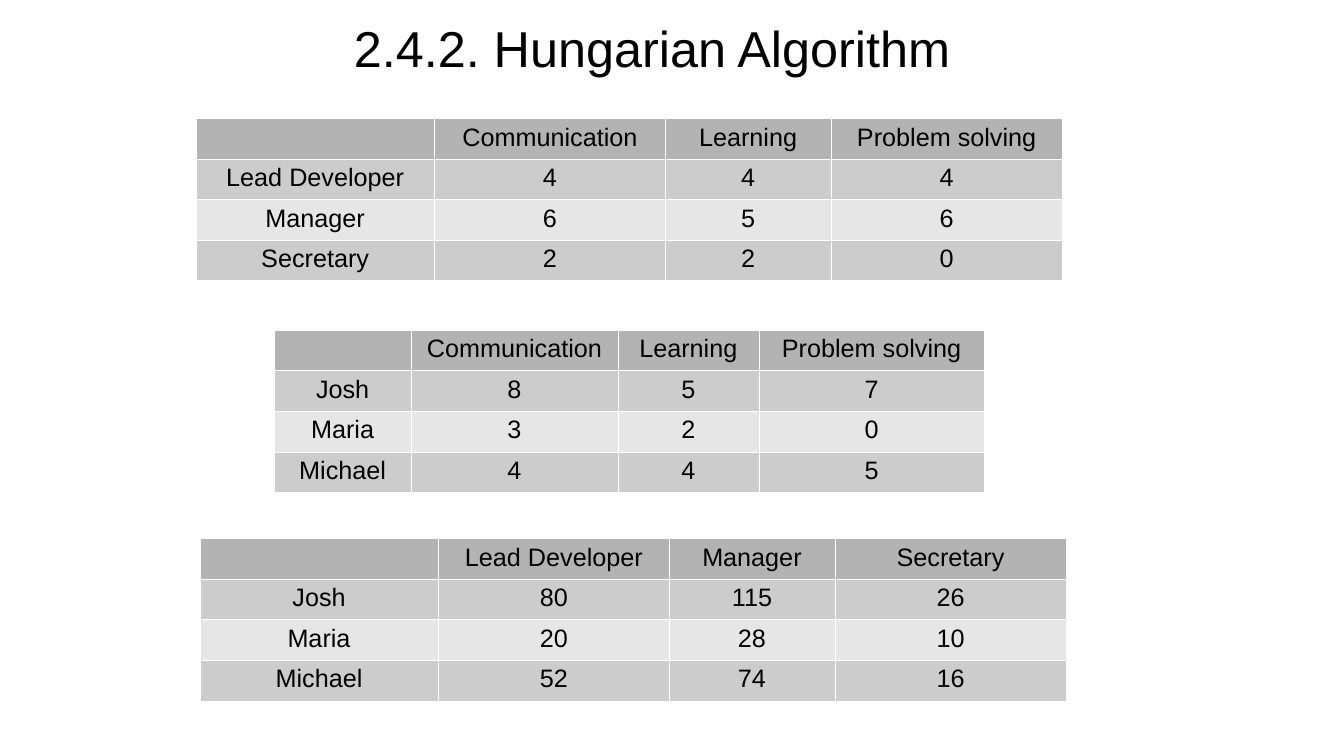
from dataclasses import dataclass

from lxml.etree import SubElement as Sub
from pptx import Presentation
from pptx.dml.color import RGBColor as Rgb
from pptx.enum.text import MSO_AUTO_SIZE as Fit, MSO_ANCHOR as Anchor, PP_ALIGN as Align
from pptx.oxml.ns import qn
from pptx.util import Pt


@dataclass(frozen=True)
class Theme:
    font: str = "Arial"
    ink: str = "000000"
    rule: str = "FFFFFF"
    head: str = "B3B3B3"
    odd: str = "CCCCCC"
    even: str = "E6E6E6"
    title: int = 36
    body: int = 18
    line: float = 0.06


theme = Theme()


def style(para, size, align):
    para.alignment = align
    font = para.font
    font.name, font.size = theme.font, Pt(size)
    font.color.rgb = Rgb.from_string(theme.ink)


def edge(cell):
    """Draw a thin rule on all four sides; call before filling the cell."""
    props = cell._tc.get_or_add_tcPr()
    for side in ("a:lnL", "a:lnR", "a:lnT", "a:lnB"):
        line = Sub(props, qn(side), w=str(Pt(theme.line)))
        fill = Sub(line, qn("a:solidFill"))
        Sub(fill, qn("a:srgbClr"), val=theme.rule)


deck = Presentation()
deck.slide_width, deck.slide_height = Pt(960), Pt(540)
slide = deck.slides.add_slide(deck.slide_layouts[5])

title = slide.shapes.title
title.left, title.top, title.width, title.height = Pt(245.5), Pt(8.6), Pt(540), Pt(50.4)
frame = title.text_frame
frame.text = "2.4.2. Hungarian Algorithm"
frame.word_wrap = True
frame.auto_size = Fit.SHAPE_TO_FIT_TEXT
frame.vertical_anchor = Anchor.TOP
style(frame.paragraphs[0], theme.title, Align.LEFT)

row_high = 29
wide = (170.6, 164.9, 118.1, 165.6)
slim = (97.9, 147.6, 100.8, 161)
skills = ("", "Communication", "Learning", "Problem solving")

# Left, top, column widths, rows
grids = [
    (195.8, 235.6, slim, [
        skills,
        ("Josh", 8, 5, 7),
        ("Maria", 3, 2, 0),
        ("Michael", 4, 4, 5),
    ]),
    (139.8, 84.4, wide, [
        skills,
        ("Lead Developer", 4, 4, 4),
        ("Manager", 6, 5, 6),
        ("Secretary", 2, 2, 0),
    ]),
    (142.6, 384.5, wide, [
        ("", "Lead Developer", "Manager", "Secretary"),
        ("Josh", 80, 115, 26),
        ("Maria", 20, 28, 10),
        ("Michael", 52, 74, 16),
    ]),
]

for left, top, widths, rows in grids:
    shape = slide.shapes.add_table(
        len(rows), len(widths), Pt(left), Pt(top),
        Pt(sum(widths)), Pt(row_high * len(rows)))
    table = shape.table
    for col, width in zip(table.columns, widths):
        col.width = Pt(width)
    for r, row in enumerate(rows):
        shade = theme.head if r == 0 else theme.odd if r % 2 else theme.even
        for c, value in enumerate(row):
            cell = table.cell(r, c)
            edge(cell)
            cell.fill.solid()
            cell.fill.fore_color.rgb = Rgb.from_string(shade)
            if value != "":
                cell.text = str(value)
            style(cell.text_frame.paragraphs[0], theme.body, Align.CENTER)

# The header row takes its weight from the table style
for shape in slide.shapes:
    if shape.has_table:
        shape.table.first_row = False

deck.save("out.pptx")
